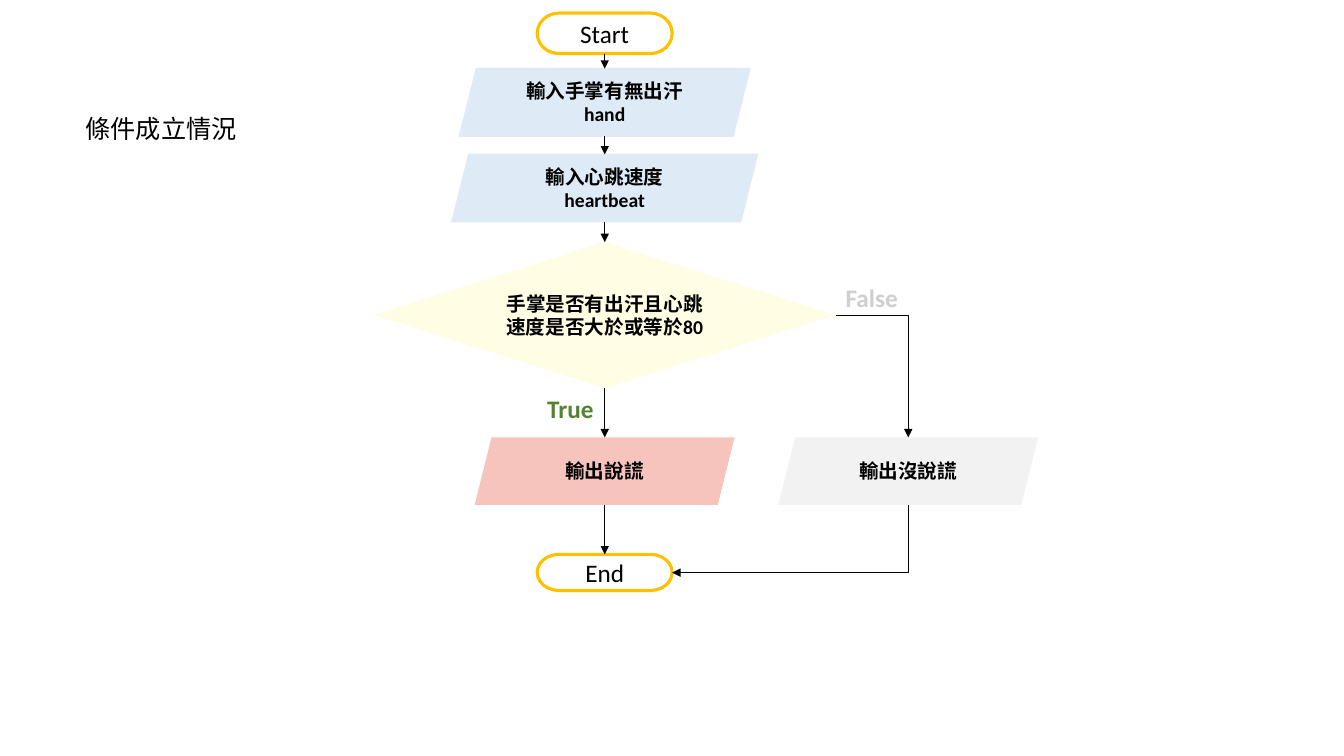
from lxml import etree
from pptx import Presentation
from pptx.dml.color import RGBColor
from pptx.enum.shapes import MSO_CONNECTOR, MSO_SHAPE
from pptx.enum.text import MSO_ANCHOR, PP_ALIGN
from pptx.oxml.ns import qn
from pptx.util import Cm, Pt

TERMINATOR = MSO_SHAPE.FLOWCHART_TERMINATOR
DATA = MSO_SHAPE.PARALLELOGRAM
DECISION = MSO_SHAPE.DIAMOND
STRAIGHT, ELBOW = MSO_CONNECTOR.STRAIGHT, MSO_CONNECTOR.ELBOW
LEFT, CENTER = PP_ALIGN.LEFT, PP_ALIGN.CENTER
TOP, MIDDLE = MSO_ANCHOR.TOP, MSO_ANCHOR.MIDDLE

BLACK = RGBColor(0x00, 0x00, 0x00)
WHITE = RGBColor(0xFF, 0xFF, 0xFF)
GOLD = RGBColor(0xFF, 0xC0, 0x00)
BLUE = RGBColor(0xDE, 0xEB, 0xF7)
CREAM = RGBColor(0xFF, 0xFD, 0xE3)
PINK = RGBColor(0xF6, 0xC4, 0xBC)
PALE_GRAY = RGBColor(0xF2, 0xF2, 0xF2)
GREEN = RGBColor(0x54, 0x82, 0x35)
GRAY = RGBColor(0xD0, 0xCE, 0xCE)

MAIN_X, FALSE_X = 15.24, 22.89
TOP_SITE, BOTTOM_SITE = 0, 2


def write(shape, text, size=18, color=BLACK, bold=False, align=LEFT, anchor=TOP, wrap=True):
    frame = shape.text_frame
    frame.word_wrap = wrap
    frame.vertical_anchor = anchor
    for index, line in enumerate(text.split("\n")):
        para = frame.add_paragraph() if index else frame.paragraphs[0]
        para.alignment = align
        span = para.add_run()
        span.text = line
        span.font.size = Pt(size)
        span.font.bold = bold
        span.font.color.rgb = color
        span.font.name = "Calibri"
        east_asian = etree.SubElement(span._r.get_or_add_rPr(), qn("a:ea"))
        east_asian.set("typeface", "Noto Sans CJK SC")


def add_arrow(kind, x1, y1, x2, y2):
    arrow = page.shapes.add_connector(kind, Cm(x1), Cm(y1), Cm(x2), Cm(y2))
    arrow.line.color.rgb = BLACK
    arrow.line.width = Pt(0.5)
    head = etree.SubElement(arrow.line._get_or_add_ln(), qn("a:tailEnd"))
    head.set("type", "triangle")
    etree.SubElement(arrow._element.spPr, qn("a:effectLst"))
    if kind == ELBOW:
        arrow._element.spPr.find(qn("a:prstGeom")).set("prst", "bentConnector2")
    return arrow


deck = Presentation()
deck.slide_width, deck.slide_height = Cm(33.87), Cm(19.05)
page = deck.slides.add_slide(deck.slide_layouts[5])

title = page.shapes.title
title.left, title.top, title.width, title.height = Cm(1.9), Cm(2.74), Cm(4.37), Cm(1.02)
write(title, "條件成立情況", wrap=False)

# name: kind, centre, top, width, height, fill, outline, outline width, text
steps = {
    "start": (TERMINATOR, MAIN_X, 0.33, 3.4, 1.02, WHITE, GOLD, 2.25, "Start"),
    "hand": (DATA, MAIN_X, 1.73, 7.32, 1.7, BLUE, BLUE, 1, "輸入手掌有無出汗\nhand"),
    "heartbeat": (DATA, MAIN_X, 3.89, 7.7, 1.7, BLUE, BLUE, 1, "輸入心跳速度\nheartbeat"),
    "check": (DECISION, MAIN_X, 6.1, 11.63, 3.68, CREAM, None, 0,
              "手掌是否有出汗且心跳速度是否大於或等於80"),
    "lie": (DATA, MAIN_X, 11.02, 6.55, 1.7, PINK, None, 0, "輸出說謊"),
    "end": (TERMINATOR, MAIN_X, 13.97, 3.4, 0.91, WHITE, GOLD, 2.25, "End"),
    "truth": (DATA, FALSE_X, 11.02, 6.55, 1.7, PALE_GRAY, None, 0, "輸出沒說謊"),
}
boxes = {}
for name, (kind, center, top, width, height, fill, outline, weight, text) in steps.items():
    box = page.shapes.add_shape(kind, Cm(center - width / 2), Cm(top), Cm(width), Cm(height))
    box.shadow.inherit = False
    box.fill.solid()
    box.fill.fore_color.rgb = fill
    if outline is None:
        box.line.fill.background()
    else:
        box.line.color.rgb = outline
        box.line.width = Pt(weight)
    is_terminator = kind == TERMINATOR
    write(box, text, size=18 if is_terminator else 14, bold=not is_terminator,
          align=CENTER, anchor=MIDDLE)
    boxes[name] = box

main_path = ["start", "hand", "heartbeat", "check", "lie", "end"]
for upper, lower in zip(main_path, main_path[1:]):
    bottom = steps[upper][2] + steps[upper][4]
    arrow = add_arrow(STRAIGHT, MAIN_X, bottom, MAIN_X, steps[lower][2])
    # A parallelogram numbers its connection sites differently, so its ends stay free.
    if steps[upper][0] != DATA:
        arrow.begin_connect(boxes[upper], BOTTOM_SITE)
    if steps[lower][0] != DATA:
        arrow.end_connect(boxes[lower], TOP_SITE)

add_arrow(ELBOW, 21.06, 7.94, FALSE_X, 11.02)

# The return path is the same bend turned a quarter, so its box is laid on its side.
start_x, start_y, end_x, end_y = FALSE_X, 12.72, 16.94, 14.43
middle_x, middle_y = (start_x + end_x) / 2, (start_y + end_y) / 2
half_width, half_height = (end_y - start_y) / 2, (start_x - end_x) / 2
return_arrow = add_arrow(ELBOW, middle_x - half_width, middle_y - half_height,
                         middle_x + half_width, middle_y + half_height)
return_arrow._element.spPr.find(qn("a:xfrm")).set("rot", "5400000")

for text, left, top, width, color in [("True", 13.54, 9.78, 1.68, GREEN),
                                      ("False", 21.06, 6.98, 1.83, GRAY)]:
    label = page.shapes.add_textbox(Cm(left), Cm(top), Cm(width), Cm(1.02))
    write(label, text, color=color, bold=True, wrap=False)

deck.save("out.pptx")
